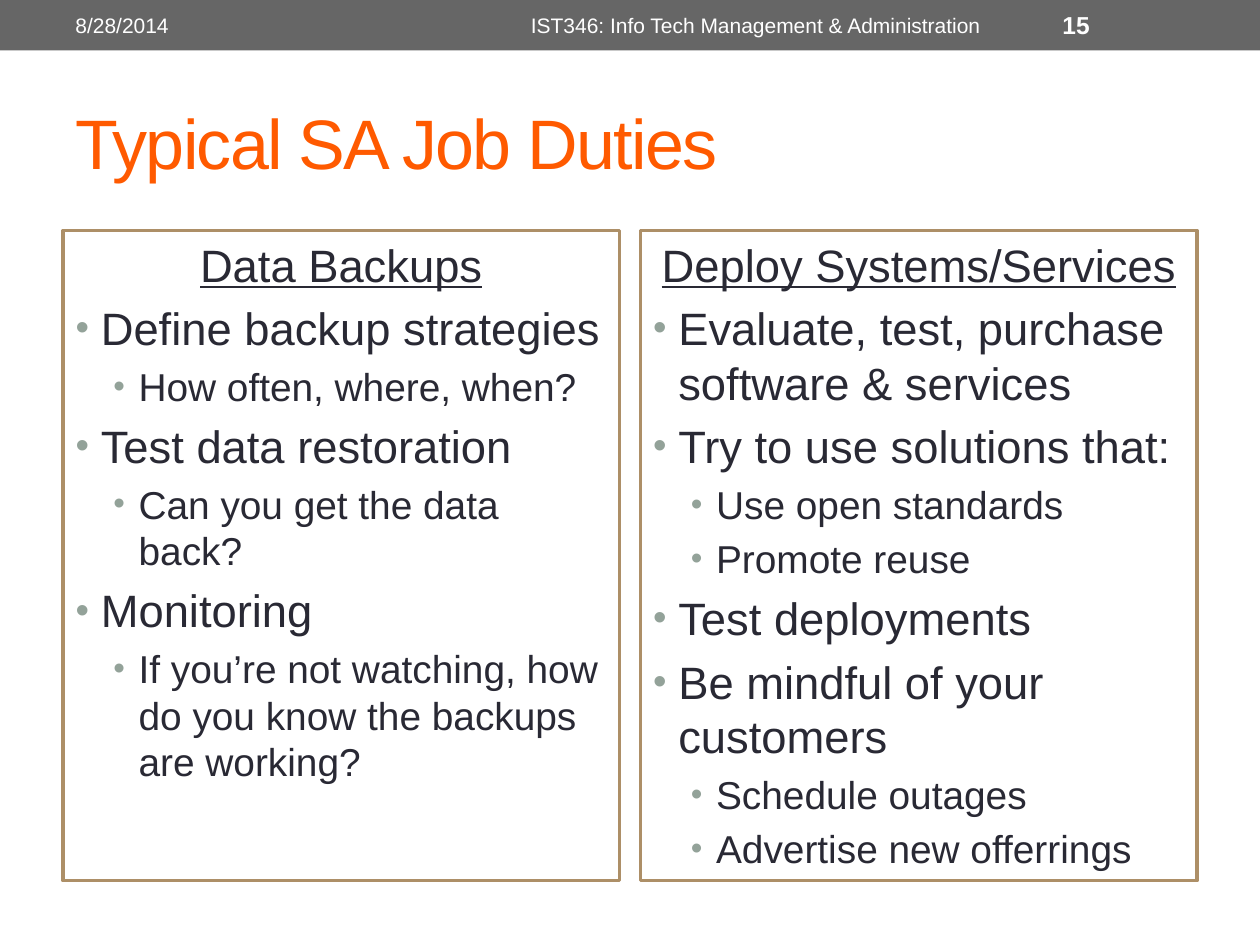
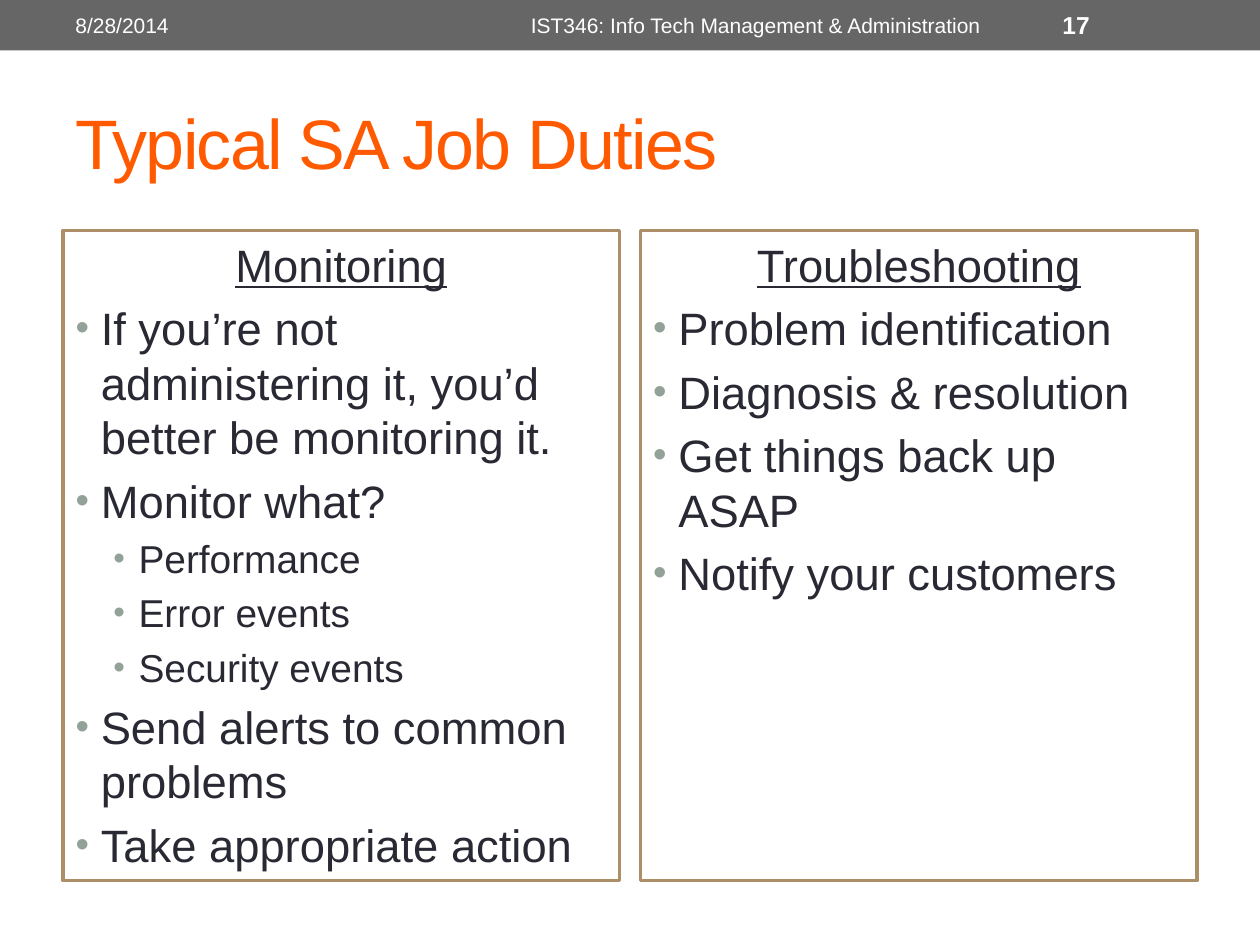
from lxml import etree
from pptx import Presentation
from pptx.dml.color import RGBColor
from pptx.enum.shapes import MSO_SHAPE
from pptx.enum.text import MSO_ANCHOR, MSO_AUTO_SIZE, PP_ALIGN
from pptx.oxml.ns import qn
from pptx.util import Pt

RECTANGLE = MSO_SHAPE.RECTANGLE
MIDDLE, TOP = MSO_ANCHOR.MIDDLE, MSO_ANCHOR.TOP
LEFT, CENTER = PP_ALIGN.LEFT, PP_ALIGN.CENTER
NO_AUTOFIT = MSO_AUTO_SIZE.NONE
TWO_CONTENT = 3
SLIDE_WIDTH, SLIDE_HEIGHT = 720, 540
MARGIN, COLUMN_WIDTH, COLUMN_GAP = 36, 318, 12
BULLET_SIZES = [25.9, 22.2]
BULLET_INDENTS = [14.4, 36]

COURSE = "IST346: Info Tech Management & Administration"
DATE = "8/28/2014"
TITLE = "Typical SA Job Duties"

DUTIES = [
    ("15", [
        ("Data Backups", [
            (0, "Define backup strategies"),
            (1, "How often, where, when?"),
            (0, "Test data restoration"),
            (1, "Can you get the data back?"),
            (0, "Monitoring"),
            (1, "If you’re not watching, how do you know the backups are working?"),
        ]),
        ("Deploy Systems/Services", [
            (0, "Evaluate, test, purchase software & services"),
            (0, "Try to use solutions that:"),
            (1, "Use open standards"),
            (1, "Promote reuse"),
            (0, "Test deployments"),
            (0, "Be mindful of your customers"),
            (1, "Schedule outages"),
            (1, "Advertise new offerrings"),
        ]),
    ]),
    ("17", [
        ("Monitoring", [
            (0, "If you’re not administering it, you’d better be monitoring it."),
            (0, "Monitor what?"),
            (1, "Performance"),
            (1, "Error events"),
            (1, "Security events"),
            (0, "Send alerts to common problems"),
            (0, "Take appropriate action"),
        ]),
        ("Troubleshooting", [
            (0, "Problem identification"),
            (0, "Diagnosis & resolution"),
            (0, "Get things back up ASAP"),
            (0, "Notify your customers"),
        ]),
    ]),
]


def rgb(hex_color):
    return RGBColor.from_string(hex_color)


def write(paragraph, text, size, color, font="Arial", bold=False,
          underline=False, align=LEFT, tracking=None):
    paragraph.alignment = align
    run = paragraph.add_run()
    run.text = text
    run.font.name = font
    run.font.size = Pt(size)
    run.font.bold = bold
    run.font.underline = underline
    run.font.color.rgb = rgb(color)
    if tracking is not None:
        run.font._element.set("spc", str(int(tracking * 100)))


def set_bullet(paragraph, color=None, left=0, hanging=0):
    properties = paragraph._p.get_or_add_pPr()
    properties.set("marL", str(Pt(left)))
    properties.set("indent", str(-Pt(hanging)))
    if color is None:
        etree.SubElement(properties, qn("a:buNone"))
        return
    bullet_color = etree.SubElement(properties, qn("a:buClr"))
    etree.SubElement(bullet_color, qn("a:srgbClr"), val=color)
    etree.SubElement(properties, qn("a:buSzPct"), val="85000")
    etree.SubElement(properties, qn("a:buFont"), typeface="Arial")
    etree.SubElement(properties, qn("a:buChar"), char="•")


class Deck:
    band_color = "666666"
    title_color = "FF5A00"
    text_color = "292934"
    border_color = "AD8F67"
    bullet_color = "93A299"
    paper = "FFFFFF"

    def __init__(self):
        self.presentation = Presentation()
        self.presentation.slide_width = Pt(SLIDE_WIDTH)
        self.presentation.slide_height = Pt(SLIDE_HEIGHT)
        self.slide = None

    def new_slide(self, page):
        layout = self.presentation.slide_layouts[TWO_CONTENT]
        self.slide = self.presentation.slides.add_slide(layout)
        self.band()
        self.header_text(DATE, MARGIN, 228)
        self.header_text(page, 600, 84, size=14, bold=True)
        self.header_text(COURSE, 270, 324, align=CENTER)

    def band(self):
        band = self.slide.shapes.add_shape(RECTANGLE, 0, 0, Pt(SLIDE_WIDTH), Pt(28.8))
        band.shadow.inherit = False
        band.fill.solid()
        band.fill.fore_color.rgb = rgb(self.band_color)
        band.line.fill.background()

    def header_text(self, text, left, width, size=12, **style):
        box = self.slide.shapes.add_textbox(Pt(left), Pt(1.4), Pt(width), Pt(26))
        frame = box.text_frame
        frame.word_wrap = True
        frame.vertical_anchor = MIDDLE
        write(frame.paragraphs[0], text, size, self.paper, **style)

    def place(self, placeholder, left, top, width, height, anchor):
        placeholder.left, placeholder.top = Pt(left), Pt(top)
        placeholder.width, placeholder.height = Pt(width), Pt(height)
        frame = placeholder.text_frame
        frame.word_wrap = True
        frame.auto_size = NO_AUTOFIT
        frame.vertical_anchor = anchor
        return frame

    def title(self, text):
        frame = self.place(self.slide.shapes.title, MARGIN, 42,
                           SLIDE_WIDTH - 2 * MARGIN, 78, MIDDLE)
        write(frame.paragraphs[0], text, 40, self.title_color, tracking=-1)

    def duty_column(self, position, heading, items):
        column = self.slide.placeholders[position + 1]
        left = MARGIN + position * (COLUMN_WIDTH + COLUMN_GAP)
        frame = self.place(column, left, 131.75, COLUMN_WIDTH, 371.5, TOP)
        column.fill.solid()
        column.fill.fore_color.rgb = rgb(self.paper)
        column.line.color.rgb = rgb(self.border_color)
        column.line.width = Pt(2.08)

        heading_line = frame.paragraphs[0]
        set_bullet(heading_line)
        heading_line.space_before = Pt(0)
        write(heading_line, heading, BULLET_SIZES[0], self.text_color,
              underline=True, align=CENTER)
        for level, text in items:
            item = frame.add_paragraph()
            item.level = level
            set_bullet(item, self.bullet_color, BULLET_INDENTS[level], 14.4)
            item.space_before = Pt(round(BULLET_SIZES[level] * 0.2, 1))
            write(item, text, BULLET_SIZES[level], self.text_color)


def main():
    deck = Deck()
    for page, columns in DUTIES:
        deck.new_slide(page)
        deck.title(TITLE)
        for position, (heading, items) in enumerate(columns):
            deck.duty_column(position, heading, items)
    deck.presentation.save("out.pptx")


if __name__ == "__main__":
    main()
